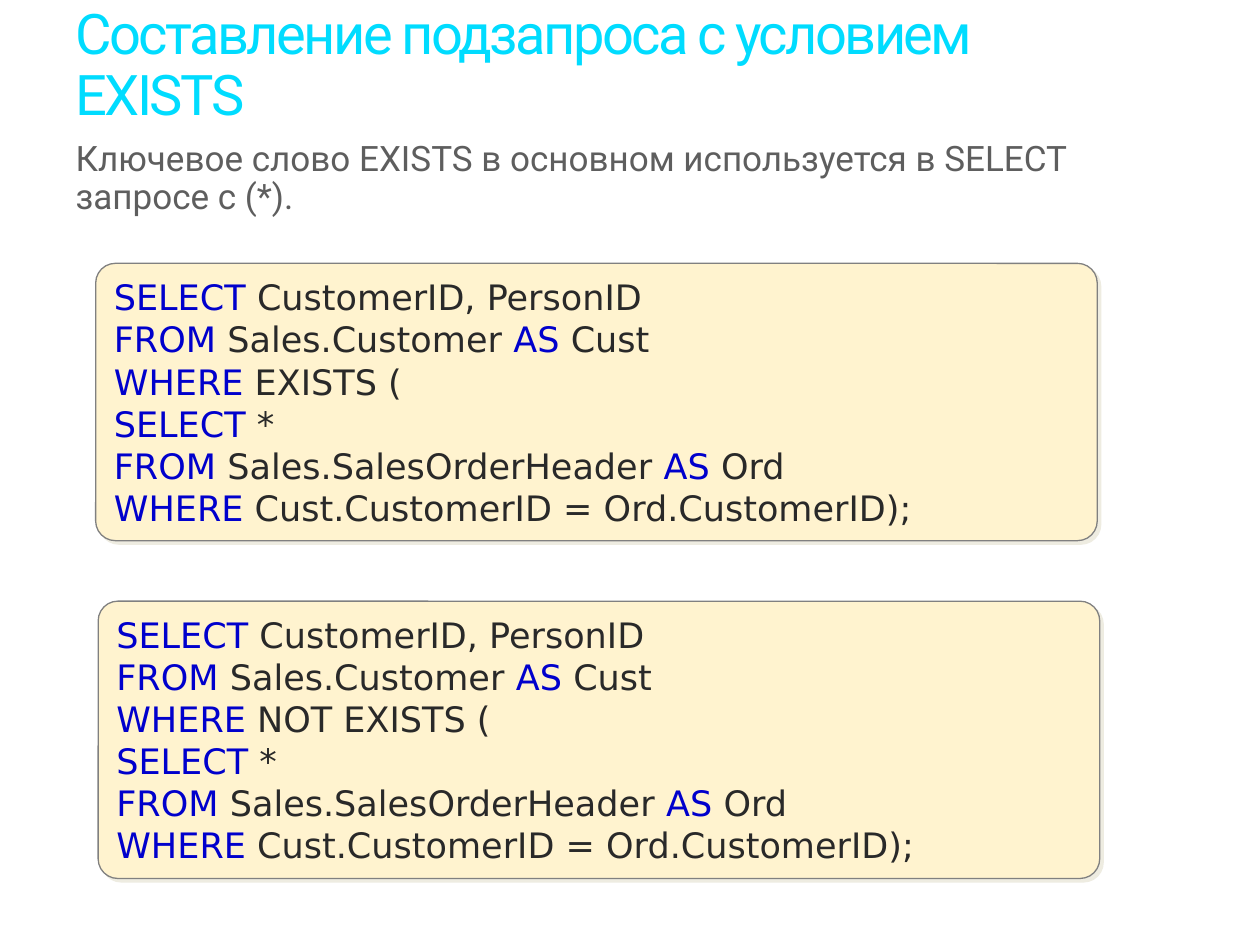
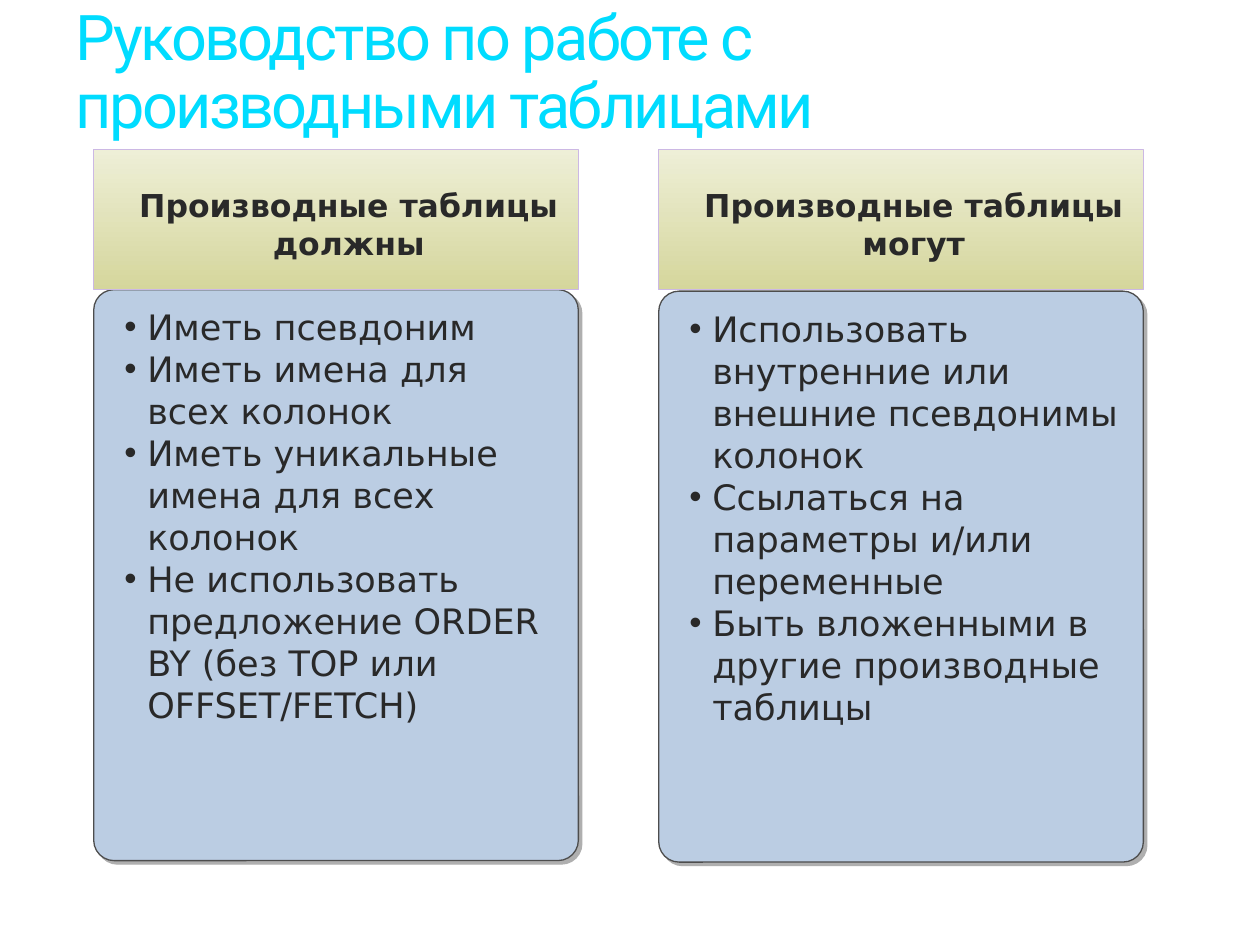
from itertools import cycle

from lxml.etree import SubElement
from pptx import Presentation
from pptx.dml.color import RGBColor
from pptx.enum.shapes import MSO_SHAPE
from pptx.enum.text import MSO_ANCHOR, MSO_AUTO_SIZE, PP_ALIGN
from pptx.oxml.ns import qn
from pptx.util import Cm, Pt

CYAN = RGBColor(0x00, 0xDC, 0xFF)
GRAY = RGBColor(0x5E, 0x5E, 0x5E)
INK = RGBColor(0x29, 0x29, 0x29)
KEYWORD = RGBColor(0x00, 0x00, 0xCC)
CREAM = RGBColor(0xFF, 0xF3, 0xCF)
CREAM_LINE = RGBColor(0x80, 0x80, 0x80)
CREAM_SHADOW = RGBColor(0xEE, 0xEC, 0xE1)
BLUE = RGBColor(0xBB, 0xCD, 0xE3)
BLUE_LINE = RGBColor(0x4D, 0x4D, 0x4D)
BLUE_SHADOW = RGBColor(0xAF, 0xAF, 0xAF)
OLIVE_LIGHT = RGBColor(0xEE, 0xEF, 0xD7)
OLIVE_DARK = RGBColor(0xD5, 0xD6, 0x9C)
LILAC = RGBColor(0xCC, 0xB8, 0xE4)
HEAD_FONT = "Roboto"
TEXT_FONT = "DejaVu Sans"


def add_run(p, text, size, color, font=TEXT_FONT, bold=False):
    """Append a formatted run to a paragraph."""
    r = p.add_run()
    r.text = text
    r.font.size = Pt(size)
    r.font.name = font
    r.font.bold = bold
    r.font.color.rgb = color
    return r


def paragraphs(tf, count):
    """Return the given number of paragraphs of a text frame."""
    return [tf.paragraphs[0]] + [tf.add_paragraph() for _ in range(count - 1)]


def set_margins(tf, left, top, right, bottom):
    """Set the four text margins in centimetres."""
    tf.margin_left, tf.margin_top = Cm(left), Cm(top)
    tf.margin_right, tf.margin_bottom = Cm(right), Cm(bottom)


def fill_placeholder(sp, box, text, size, color):
    """Move a placeholder and give it one left-aligned line of text."""
    sp.left, sp.top, sp.width, sp.height = map(Cm, box)
    tf = sp.text_frame
    tf.word_wrap = True
    tf.auto_size = MSO_AUTO_SIZE.NONE
    tf.vertical_anchor = MSO_ANCHOR.TOP
    p = tf.paragraphs[0]
    p.alignment = PP_ALIGN.LEFT
    p.line_spacing = 0.9
    return p, add_run(p, text, size, color, HEAD_FONT)


def add_title(s, text, size):
    """Fill the title with tightly spaced cyan text."""
    box = (1.27, 0, 21.59, 2.06)
    _, r = fill_placeholder(s.shapes.title, box, text, size, CYAN)
    r.font._element.set("spc", "-150")


def add_intro(s, text):
    """Fill the body placeholder with a paragraph without a bullet."""
    box = (1.27, 2.72, 21.54, 12.19)
    p, _ = fill_placeholder(s.placeholders[1], box, text, 20, GRAY)
    pPr = p._p.get_or_add_pPr()
    pPr.set("marL", "0")
    pPr.set("indent", "0")
    SubElement(pPr, qn("a:buNone"))


def add_shadow(sp, color):
    """Give a shape a hard shadow to the lower right."""
    sp.shadow.inherit = False
    effects = sp._element.spPr.find(qn("a:effectLst"))
    shadow = SubElement(effects, qn("a:outerShdw"), dist=str(Pt(2.8)),
                        dir="2700000", algn="ctr", rotWithShape="0")
    SubElement(shadow, qn("a:srgbClr"), val=str(color))


def add_card(shapes, box, radius, fill, line, shadow):
    """Add a rounded, shadowed card."""
    sp = shapes.add_shape(MSO_SHAPE.ROUNDED_RECTANGLE, *map(Cm, box))
    sp.adjustments[0] = radius
    sp.fill.solid()
    sp.fill.fore_color.rgb = fill
    sp.line.color.rgb = line
    sp.line.width = Pt(0.75)
    add_shadow(sp, shadow)
    return sp


def add_code(s, left, top, condition):
    """Add a query card whose lines alternate keywords and plain text."""
    lines = [
        ("SELECT ", "CustomerID, PersonID"),
        ("FROM ", "Sales.Customer ", "AS ", "Cust"),
        ("WHERE", f" {condition} ("),
        ("SELECT", " *"),
        ("FROM ", "Sales.SalesOrderHeader ", "AS ", "Ord"),
        ("WHERE ", "Cust.CustomerID = Ord.CustomerID);"),
    ]
    sp = add_card(s.shapes, (left, top, 20.19, 5.59), 0.071,
                  CREAM, CREAM_LINE, CREAM_SHADOW)
    tf = sp.text_frame
    tf.word_wrap = True
    tf.auto_size = MSO_AUTO_SIZE.SHAPE_TO_FIT_TEXT
    tf.vertical_anchor = MSO_ANCHOR.MIDDLE
    for p, parts in zip(paragraphs(tf, len(lines)), lines):
        p.alignment = PP_ALIGN.LEFT
        for text, color in zip(parts, cycle((KEYWORD, INK))):
            add_run(p, text, 20, color)


def add_header(shapes, box, text):
    """Add a gradient header with a bold centred caption."""
    sp = shapes.add_shape(MSO_SHAPE.RECTANGLE, *map(Cm, box))
    sp.shadow.inherit = False
    sp.fill.gradient()
    sp.fill.gradient_angle = 270
    for stop, color in zip(sp.fill.gradient_stops, (OLIVE_LIGHT, OLIVE_DARK)):
        stop.color.rgb = color
    sp.line.color.rgb = LILAC
    sp.line.width = Pt(0.75)
    tf = sp.text_frame
    tf.word_wrap = True
    tf.vertical_anchor = MSO_ANCHOR.MIDDLE
    set_margins(tf, 0.76, 0.3, 0.25, 0.13)
    p = tf.paragraphs[0]
    p.alignment = PP_ALIGN.CENTER
    add_run(p, text, 18, INK, bold=True)


def add_bullets(shapes, box, items):
    """Add a bulleted list in a text box without margins."""
    tf = shapes.add_textbox(*map(Cm, box)).text_frame
    tf.word_wrap = True
    set_margins(tf, 0, 0, 0, 0)
    for p, item in zip(paragraphs(tf, len(items)), items):
        pPr = p._p.get_or_add_pPr()
        pPr.set("marL", str(Cm(0.46)))
        pPr.set("indent", str(-Cm(0.46)))
        SubElement(pPr, qn("a:buFont"), typeface="Arial")
        SubElement(pPr, qn("a:buChar"), char="•")
        add_run(p, item, 20, INK)


def add_panel(s, left, top, list_height, heading, items):
    """Group a card, its header and its list."""
    shapes = s.shapes.add_group_shape().shapes
    width = 9.77
    add_card(shapes, (left, top, width, 11.51), 0.042,
             BLUE, BLUE_LINE, BLUE_SHADOW)
    add_header(shapes, (left, 3.02, width, 2.82), heading)
    add_bullets(shapes, (left + 0.62, top + 0.32, 8.7, list_height), items)


def exists_slide(prs):
    """Build the slide on subqueries with EXISTS."""
    s = prs.slides.add_slide(prs.slide_layouts[1])
    add_title(s, "Составление подзапроса с условием EXISTS", 32)
    add_intro(s, "Ключевое слово EXISTS в основном используется "
                 "в SELECT запросе с (*).")
    add_code(s, 1.93, 5.31, "EXISTS")
    add_code(s, 1.98, 12.12, "NOT EXISTS")


def derived_tables_slide(prs):
    """Build the slide on rules for derived tables."""
    s = prs.slides.add_slide(prs.slide_layouts[5])
    add_title(s, "Руководство по работе с производными таблицами", 36)
    add_panel(s, 1.89, 5.84, 11.68, "Производные таблицы должны", [
        "Иметь псевдоним",
        "Иметь имена для всех колонок",
        "Иметь уникальные имена для всех колонок",
        "Не использовать предложение ORDER BY (без TOP или OFFSET/FETCH)",
    ])
    add_panel(s, 13.28, 5.87, 10.57, "Производные таблицы могут", [
        "Использовать внутренние или внешние псевдонимы колонок",
        "Ссылаться на параметры и/или переменные",
        "Быть вложенными в другие производные таблицы",
    ])


def main():
    """Build and save the presentation."""
    prs = Presentation()
    prs.slide_width, prs.slide_height = Cm(25.4), Cm(19.05)
    exists_slide(prs)
    derived_tables_slide(prs)
    prs.save("out.pptx")


main()
